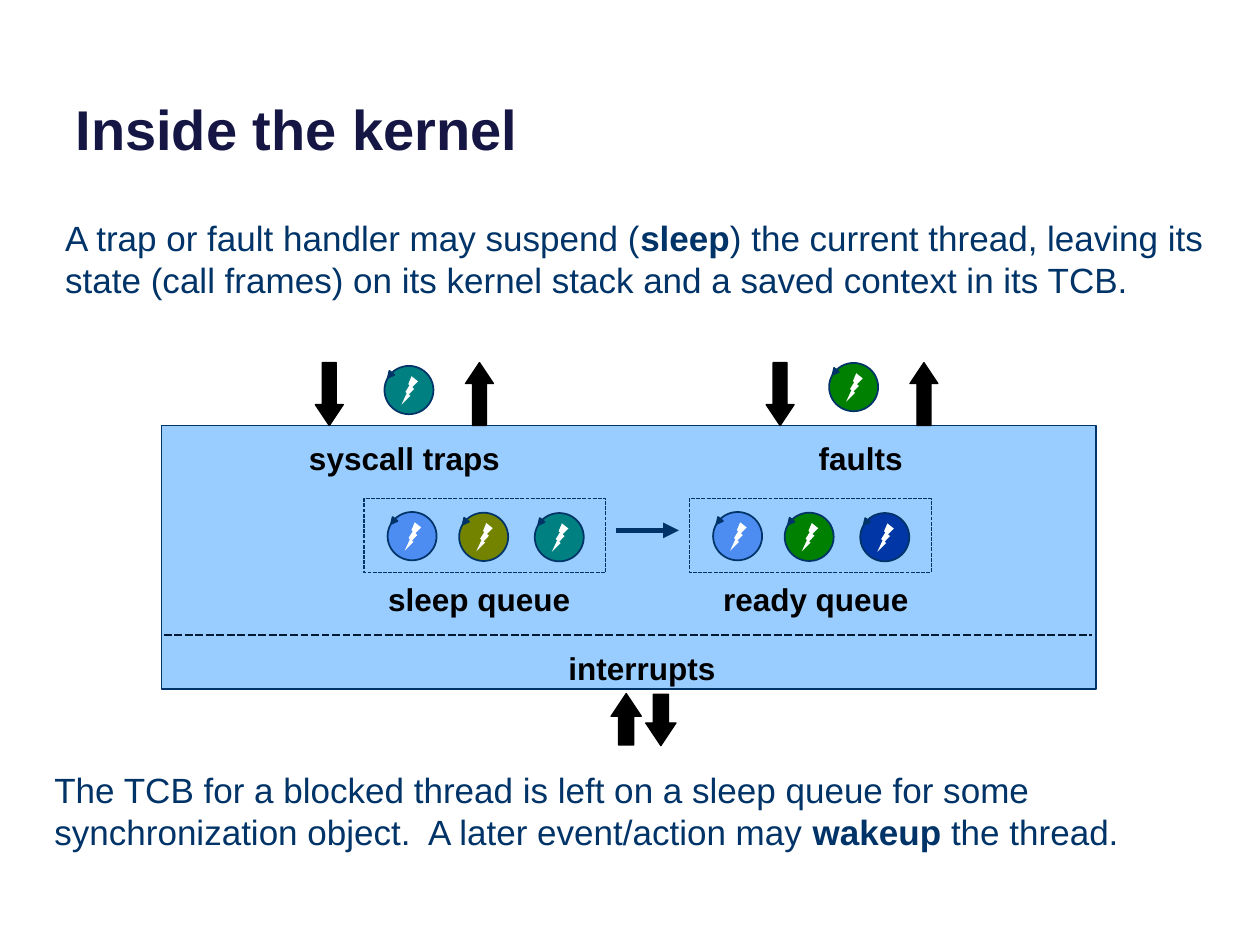
from lxml.etree import SubElement
from pptx import Presentation
from pptx.dml.color import RGBColor
from pptx.enum.dml import MSO_LINE
from pptx.enum.shapes import MSO_CONNECTOR, MSO_SHAPE
from pptx.enum.text import MSO_ANCHOR, MSO_AUTO_SIZE, PP_ALIGN
from pptx.oxml.ns import qn
from pptx.util import Pt

COLOURS = {
    "title": "161645", "navy": "003367", "divider": "001934", "kernel": "99CCFF",
    "black": "000000", "white": "FFFFFF", "blue": "4D8CF1", "olive": "738300",
    "teal": "008080", "green": "008000", "royal": "0036A6",
}
RGB = {name: RGBColor.from_string(value) for name, value in COLOURS.items()}

presentation = Presentation()
presentation.slide_width, presentation.slide_height = Pt(720), Pt(540)
slide = presentation.slides.add_slide(presentation.slide_layouts[5])


def add_shape(kind, box, fill=None, line=None, width=1):
    """Add a preset shape at box (left, top, width, height), in points."""
    shape = slide.shapes.add_shape(kind, *map(Pt, box))
    shape.shadow.inherit = False
    if fill:
        shape.fill.solid()
        shape.fill.fore_color.rgb = RGB[fill]
    else:
        shape.fill.background()
    if line:
        shape.line.color.rgb = RGB[line]
        shape.line.width = Pt(width)
    else:
        shape.line.fill.background()
    return shape


def write_text(shape, runs, size, colour, align, anchor):
    """Fill a shape with one paragraph of (text, bold) runs."""
    frame = shape.text_frame
    frame.word_wrap = True
    frame.vertical_anchor = anchor
    paragraph = frame.paragraphs[0]
    paragraph.alignment = align
    for text, bold in runs:
        run = paragraph.add_run()
        run.text = text
        run.font.color.rgb = RGB[colour]
        for name, value in {"name": "Arial", "size": Pt(size), "bold": bold}.items():
            setattr(run.font, name, value)


# Title
title = slide.shapes.title
title.left, title.top, title.width, title.height = Pt(36), Pt(-26.6), Pt(648), Pt(122.4)
write_text(title, [("Inside the kernel", True)], 32, "title", PP_ALIGN.LEFT, MSO_ANCHOR.BOTTOM)
title.text_frame.auto_size = MSO_AUTO_SIZE.NONE

# Kernel and its two queues
add_shape(MSO_SHAPE.FLOWCHART_PROCESS, (92.2, 243.2, 534.2, 150.5), "kernel", "navy")
for left in (208, 394):
    queue = add_shape(MSO_SHAPE.RECTANGLE, (left, 285, 138.2, 42), None, "navy", 0.75)
    queue.line.dash_style = MSO_LINE.SQUARE_DOT

# Divider and wakeup arrow
connectors = []
for x1, x2, y, colour, width in (
    (93.6, 624.2, 362.9, "divider", 1.5),
    (352, 388, 303.1, "navy", 3),
):
    connector = slide.shapes.add_connector(MSO_CONNECTOR.STRAIGHT, Pt(x1), Pt(y), Pt(x2), Pt(y))
    connector.line.color.rgb = RGB[colour]
    connector.line.width = Pt(width)
    SubElement(connector._element.spPr, qn("a:effectLst"))
    connectors.append(connector)
divider, wakeup_arrow = connectors
divider.line.dash_style = MSO_LINE.SQUARE_DOT
SubElement(wakeup_arrow.line._get_or_add_ln(), qn("a:tailEnd"), type="triangle")

# Entries to and exits from the kernel
UP, DOWN = MSO_SHAPE.UP_ARROW, MSO_SHAPE.DOWN_ARROW
for kind, left, top, width, height in (
    (DOWN, 180.2, 207.2, 16, 36),
    (UP, 266, 207.2, 16, 36),
    (DOWN, 437.8, 207.2, 16, 36),
    (UP, 520, 207.2, 16, 36),
    (UP, 349.2, 396.3, 17.3, 29.4),
    (DOWN, 369, 396.7, 17.3, 29.4),
):
    arrow = add_shape(kind, (left, top, width, height), "black", "black", 0.75)
    arrow.adjustments[0], arrow.adjustments[1] = 0.5, 0.75

# Threads: a circle with a bolt and a small arrowhead on its rim
for left, top, colour in (
    (219.7, 209.1, "teal"),
    (473.8, 207.4, "green"),
    (221.5, 292.6, "blue"),
    (262.4, 293, "olive"),
    (305.6, 293.2, "teal"),
    (407.5, 292.6, "blue"),
    (448.4, 293, "green"),
    (491.6, 293.2, "royal"),
):
    add_shape(MSO_SHAPE.OVAL, (left, top, 28, 27.6), colour, "navy")
    bolt = add_shape(MSO_SHAPE.LIGHTNING_BOLT, (left + 9.8, top + 5.9, 9.4, 16.2), "white")
    bolt._element.spPr.find(qn("a:xfrm")).set("flipH", "1")
    rim_arrow = add_shape(
        MSO_SHAPE.ISOSCELES_TRIANGLE, (left + 1.3, top + 3.6, 3.6, 3.6), "navy", "navy"
    )
    rim_arrow.rotation = 219

# Labels
for text, left, top, width in (
    ("syscall traps", 138.2, 247, 185.8),
    ("faults", 419.8, 247, 144),
    ("sleep queue", 195.8, 327.6, 156.2),
    ("ready queue", 388.1, 327.6, 156.2),
    ("interrupts", 288, 366.9, 157.7),
):
    label = slide.shapes.add_textbox(Pt(left), Pt(top), Pt(width), Pt(29))
    write_text(label, [(text, True)], 18, "black", PP_ALIGN.CENTER, MSO_ANCHOR.MIDDLE)

# Explanations above and below
for left, top, runs in (
    (30.2, 120.2, [
        ("A trap or fault handler may suspend (", False),
        ("sleep", True),
        (") the current thread, leaving its state (call frames) on its kernel stack "
         "and a saved context in its TCB.", False),
    ]),
    (24, 435.8, [
        ("The TCB for a blocked thread is left on a sleep queue for some "
         "synchronization object.  A later event/action may ", False),
        ("wakeup", True),
        (" the thread.", False),
    ]),
):
    explanation = slide.shapes.add_textbox(Pt(left), Pt(top), Pt(684), Pt(56))
    write_text(explanation, runs, 20, "navy", PP_ALIGN.LEFT, MSO_ANCHOR.TOP)

presentation.save("out.pptx")
